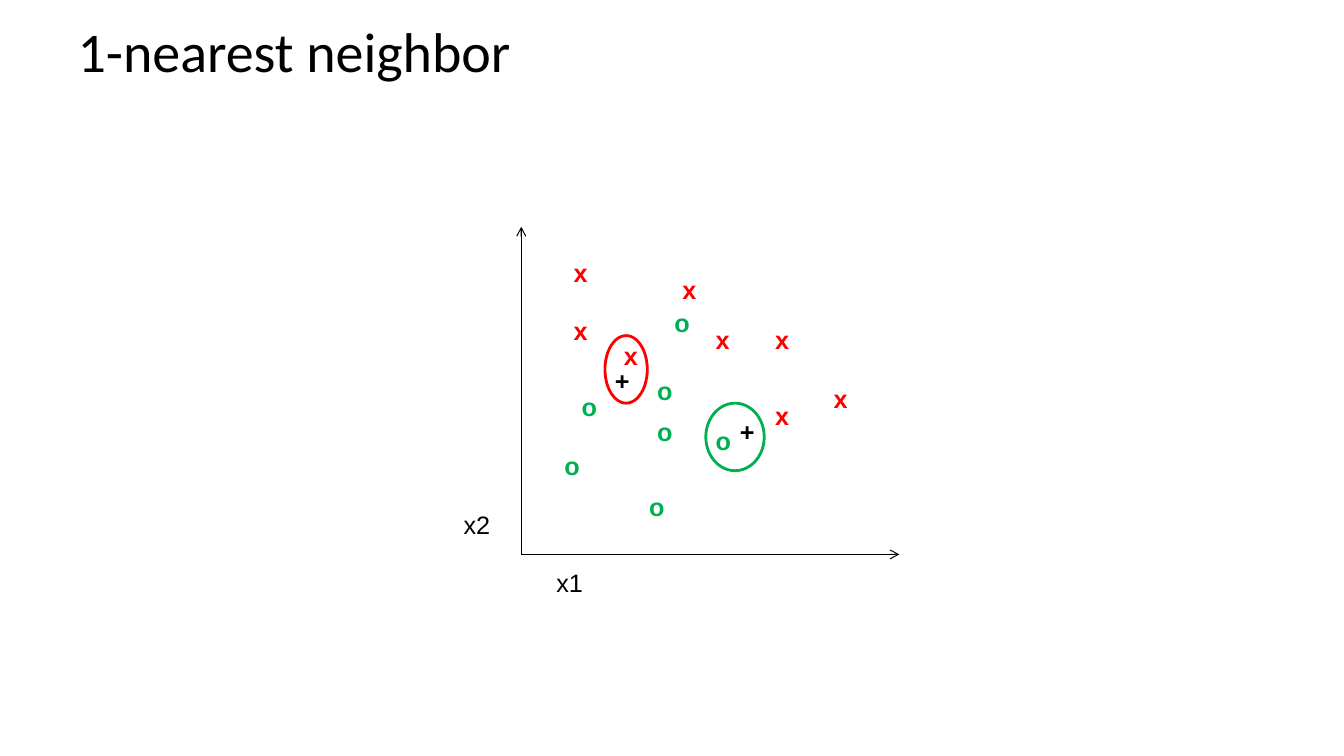
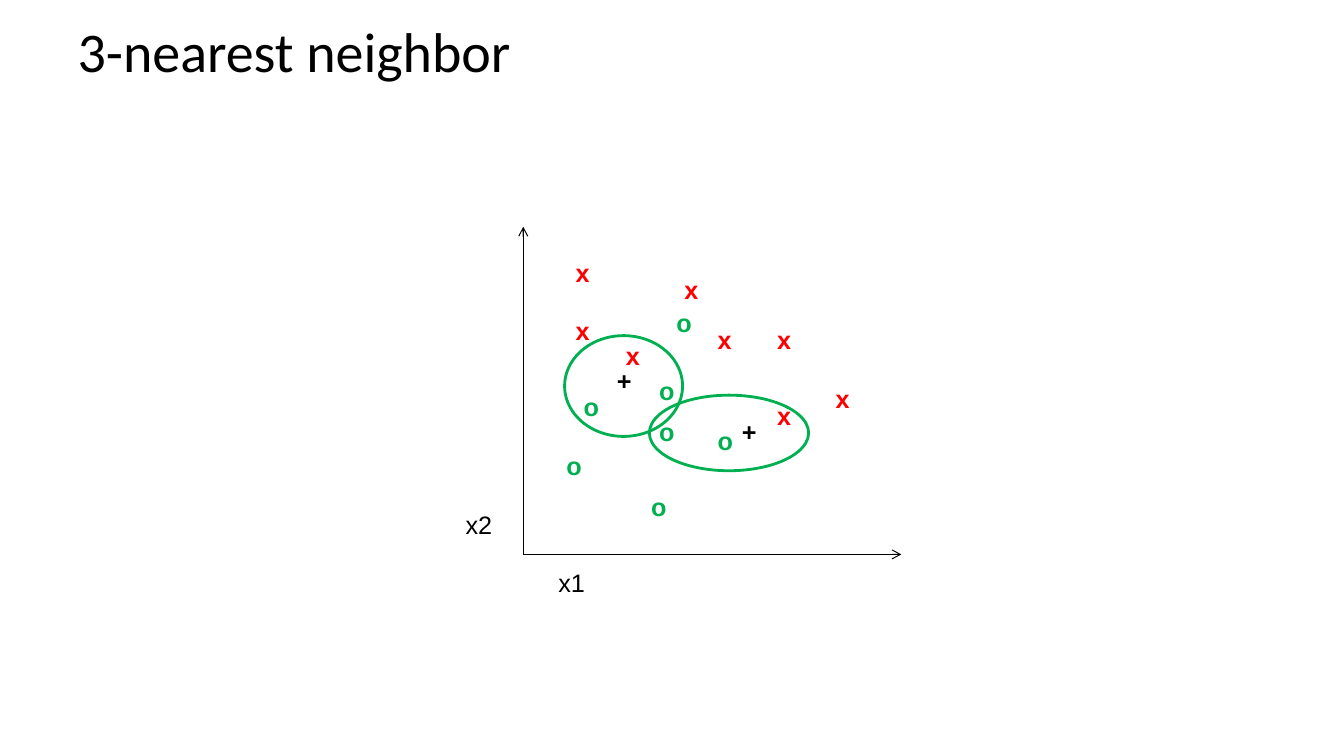
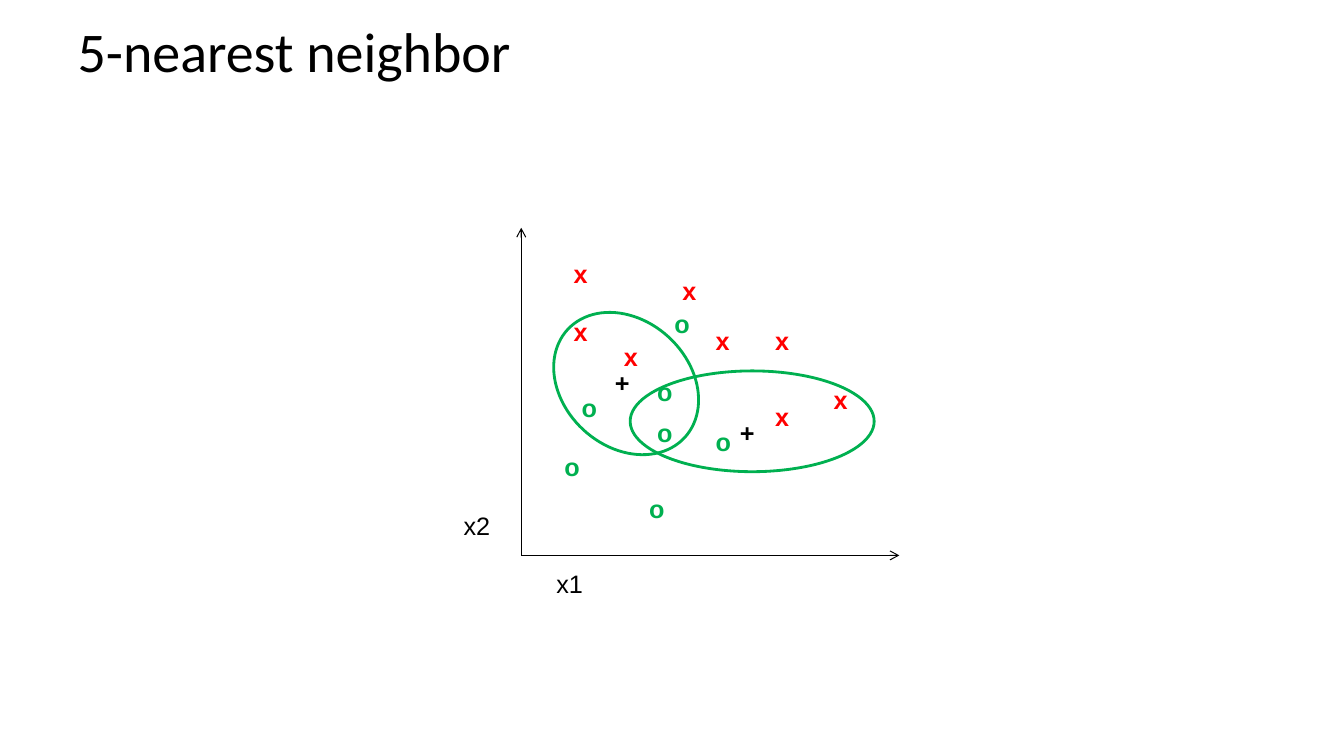
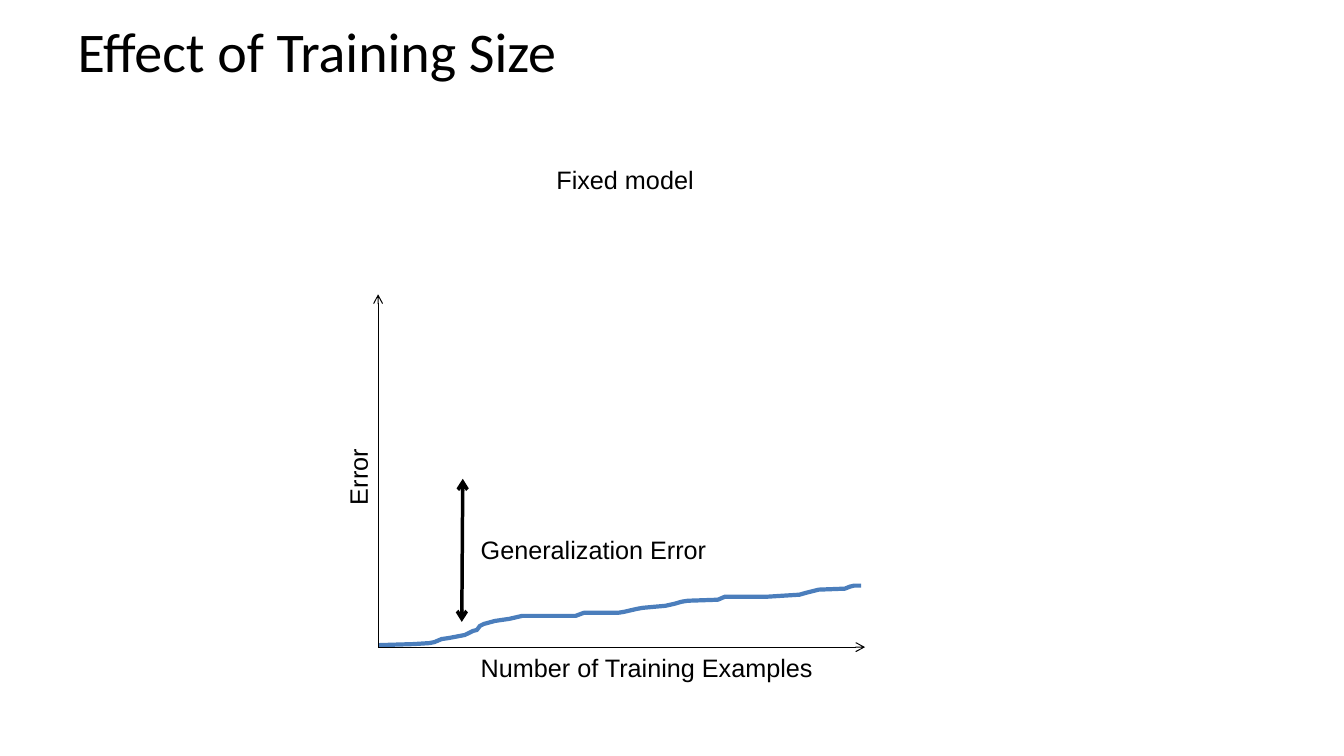
"""Build four slides on nearest neighbors and training size."""
from dataclasses import dataclass

from pptx import Presentation
from pptx.dml.color import RGBColor
from pptx.enum.shapes import MSO_CONNECTOR, MSO_SHAPE
from pptx.enum.text import MSO_ANCHOR, MSO_AUTO_SIZE, PP_ALIGN
from pptx.oxml.ns import qn
from pptx.util import Pt
from lxml import etree

LINE = MSO_CONNECTOR.STRAIGHT
OVAL = MSO_SHAPE.OVAL
MIDDLE = MSO_ANCHOR.MIDDLE
FIT = MSO_AUTO_SIZE.SHAPE_TO_FIT_TEXT
LEFT = PP_ALIGN.LEFT
SCALE = 9144


@dataclass(frozen=True)
class Theme:
    black: RGBColor = RGBColor(0, 0, 0)
    red: RGBColor = RGBColor(255, 0, 0)
    green: RGBColor = RGBColor(0, 176, 80)
    blue: RGBColor = RGBColor(75, 126, 188)
    head: str = "Calibri"
    body: str = "Arial"
    title: int = 40
    text: int = 18
    thin: float = 0.75
    ring: float = 2
    thick: float = 2.5
    curve: float = 3


THEME = Theme()
SIZE = (1333, 750)
TITLE = (67, 0, 1200, 100)
HIGH = 40

MARKS = [
    ("x", 34, THEME.red, [(700, 317), (759, 317), (759, 392), (817, 375),
                          (559, 250), (559, 308), (667, 267), (609, 333)]),
    ("o", 36, THEME.green, [(659, 300), (700, 417), (550, 442), (567, 383),
                            (634, 483), (642, 408), (642, 367)]),
    ("+", 35, THEME.black, [(600, 358), (724, 408)]),
]
NAMES = [("x2", 450, 500, 47), ("x1", 542, 558, 47)]
PLOTS = [
    ("1-nearest neighbor", (0, 0),
     [((600, 333, 42, 67), 0, THEME.red), ((700, 400, 58, 67), 0, THEME.green)]),
    ("3-nearest neighbor", (2, 0),
     [((560, 333, 117, 100), 0, THEME.green), ((644, 392, 158, 75), 0, THEME.green)]),
    ("5-nearest neighbor", (0, 1),
     [((542, 318, 158, 125), 42.8, THEME.green), ((625, 368, 242, 100), 0, THEME.green)]),
]

EFFECT = "Effect of Training Size"
LABELS = [
    ("Number of Training Examples", 467, 642, 353, 0),
    ("Error", 317, 453, 76, 270),
    ("Generalization Error", 467, 525, 246, 0),
    ("Fixed model", 542, 158, 158, 0),
]
CURVE = [
    (376, 640), (410, 639), (426, 638), (431, 637), (438, 634), (445, 633),
    (461, 630), (465, 628), (469, 626), (473, 625), (476, 621), (480, 619),
    (491, 616), (505, 614), (518, 611), (571, 611), (579, 608), (613, 608),
    (619, 607), (632, 604), (638, 603), (660, 601), (669, 599), (676, 597),
    (682, 596), (712, 595), (719, 592), (725, 592), (761, 592), (793, 590),
    (800, 588), (808, 586), (812, 585), (838, 584), (843, 582), (847, 581),
    (854, 581),
]


def px(*nums):
    return [round(n * SCALE) for n in nums]


def style(frame, font, size, color, bold=False):
    para = frame.paragraphs[0]
    para.alignment = LEFT
    para.font.name, para.font.size, para.font.bold = font, Pt(size), bold
    para.font.color.rgb = color


def start(deck, title):
    slide = deck.slides.add_slide(deck.slide_layouts[5])
    box = slide.shapes.title
    box.left, box.top, box.width, box.height = px(*TITLE)
    box.text_frame.text = title
    box.text_frame.vertical_anchor = MIDDLE
    style(box.text_frame, THEME.head, THEME.title, THEME.black)
    return slide.shapes


def label(shapes, text, x, y, wide, color=THEME.black, bold=False, turn=0):
    box = shapes.add_textbox(*px(x, y, wide, HIGH))
    box.rotation = turn
    frame = box.text_frame
    frame.word_wrap = False
    frame.auto_size = FIT
    frame.text = text
    style(frame, THEME.body, THEME.text, color, bold)


def arrow(shapes, ends, width=THEME.thin, tips=("tailEnd",)):
    line = shapes.add_connector(LINE, *px(*ends))
    line.line.color.rgb = THEME.black
    line.line.width = Pt(width)
    props = line.element.spPr
    for tip in tips:
        etree.SubElement(props.find(qn("a:ln")), qn("a:" + tip), type="arrow")
    etree.SubElement(props, qn("a:effectLst"))


def axes(shapes, x, y, wide, high):
    arrow(shapes, (x, y, x, y - high))
    arrow(shapes, (x, y, x + wide, y))


def outline(shape, color, width):
    shape.shadow.inherit = False
    shape.fill.background()
    shape.line.color.rgb = color
    shape.line.width = Pt(width)


def plot(deck, title, shift, rings):
    shapes = start(deck, title)
    dx, dy = shift
    axes(shapes, 517 + dx, 550 + dy, 375, 325)
    for text, x, y, wide in NAMES:
        label(shapes, text, x + dx, y + dy, wide)
    for text, wide, color, spots in MARKS:
        for x, y in spots:
            label(shapes, text, x + dx, y + dy, wide, color, True)
    for area, turn, color in rings:
        ring = shapes.add_shape(OVAL, *px(*area))
        ring.rotation = turn
        outline(ring, color, THEME.ring)


def effect(deck):
    shapes = start(deck, EFFECT)
    pen = shapes.build_freeform(*CURVE[0], scale=SCALE)
    pen.add_line_segments(CURVE[1:], close=False)
    outline(pen.convert_to_shape(), THEME.blue, THEME.curve)
    axes(shapes, 375, 642, 483, 350)
    arrow(shapes, (458, 617, 459, 475), THEME.thick, ("headEnd", "tailEnd"))
    for text, x, y, wide, turn in LABELS:
        label(shapes, text, x, y, wide, turn=turn)


def main():
    deck = Presentation()
    deck.slide_width, deck.slide_height = px(*SIZE)
    for item in PLOTS:
        plot(deck, *item)
    effect(deck)
    deck.save("out.pptx")


if __name__ == "__main__":
    main()
